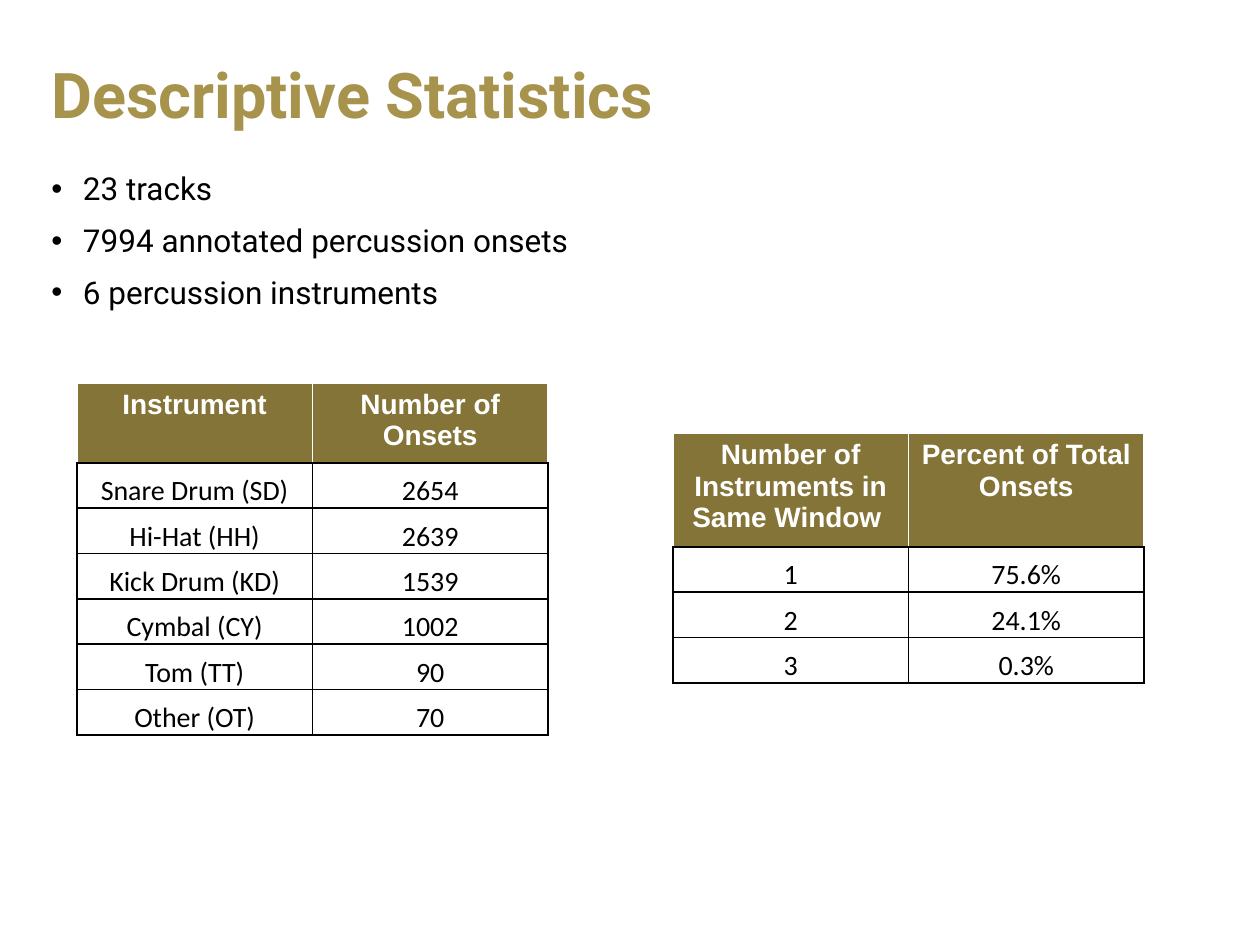
from dataclasses import dataclass

from lxml import etree
from pptx import Presentation
from pptx.dml.color import RGBColor
from pptx.enum.text import MSO_ANCHOR, PP_ALIGN
from pptx.oxml.ns import qn
from pptx.util import Inches, Pt

CENTER, LEFT = PP_ALIGN.CENTER, PP_ALIGN.LEFT
TOP, MIDDLE, BOTTOM = MSO_ANCHOR.TOP, MSO_ANCHOR.MIDDLE, MSO_ANCHOR.BOTTOM
BLANK_LAYOUT = 6


@dataclass(frozen=True)
class Theme:
    gold: str = "A7934B"
    dark_gold: str = "857437"
    black: str = "000000"
    white: str = "FFFFFF"
    text_font: str = "Roboto"
    header_font: str = "Arial"
    cell_font: str = "Calibri"
    title_size: int = 36
    bullet_size: int = 18
    table_size: int = 16
    border_width: int = 1


def write_text(paragraph, text, *, font, size, color, bold=False, align=LEFT, line_spacing=None):
    paragraph.alignment = align
    if line_spacing:
        paragraph.line_spacing = line_spacing
    run = paragraph.add_run()
    run.text = text
    run.font.name = font
    run.font.size = Pt(size)
    run.font.bold = bold
    run.font.color.rgb = RGBColor.from_string(color)


class SlideBuilder:
    def __init__(self, slide, theme):
        self.slide = slide
        self.theme = theme

    def text_frame(self, left, top, width, height, anchor):
        box = self.slide.shapes.add_textbox(
            Inches(left), Inches(top), Inches(width), Inches(height))
        frame = box.text_frame
        frame.word_wrap = True
        frame.vertical_anchor = anchor
        return frame

    def title(self, text, left, top, width, height):
        frame = self.text_frame(left, top, width, height, MIDDLE)
        write_text(frame.paragraphs[0], text, font=self.theme.text_font,
                   size=self.theme.title_size, color=self.theme.gold,
                   bold=True, line_spacing=0.9)

    def bullets(self, items, left, top, width, height):
        frame = self.text_frame(left, top, width, height, TOP)
        for index, item in enumerate(items):
            paragraph = frame.add_paragraph() if index else frame.paragraphs[0]
            properties = paragraph._p.get_or_add_pPr()
            properties.set("marL", str(Inches(0.25)))
            properties.set("indent", str(-Inches(0.25)))
            etree.SubElement(properties, qn("a:buFont"), typeface="Arial")
            etree.SubElement(properties, qn("a:buChar"), char="•")
            if index:
                paragraph.space_before = Pt(10)
            write_text(paragraph, item, font=self.theme.text_font,
                       size=self.theme.bullet_size, color=self.theme.black,
                       line_spacing=0.9)

    def borders(self, cell, side_colors):
        properties = cell._tc.get_or_add_tcPr()
        for position, (side, color) in enumerate(side_colors.items()):
            line = etree.Element(qn(f"a:ln{side}"), w=str(Pt(self.theme.border_width)))
            fill = etree.SubElement(line, qn("a:solidFill"))
            etree.SubElement(fill, qn("a:srgbClr"), val=color)
            properties.insert(position, line)

    def header_cell(self, cell, text):
        theme = self.theme
        cell.fill.solid()
        cell.fill.fore_color.rgb = RGBColor.from_string(theme.dark_gold)
        write_text(cell.text_frame.paragraphs[0], text, font=theme.header_font,
                   size=theme.table_size, color=theme.white, bold=True, align=CENTER)
        self.borders(cell, {"L": theme.white, "R": theme.white,
                            "T": theme.white, "B": theme.black})

    def body_cell(self, cell, text):
        theme = self.theme
        cell.fill.background()
        cell.vertical_anchor = BOTTOM
        cell.margin_left = cell.margin_right = cell.margin_top = Inches(0.01)
        cell.margin_bottom = 0
        write_text(cell.text_frame.paragraphs[0], text, font=theme.cell_font,
                   size=theme.table_size, color=theme.black, align=CENTER)
        self.borders(cell, dict.fromkeys("LRTB", theme.black))

    def table(self, rows, left, top, column_width=1.87, header_height=0.56, row_height=0.36):
        column_count = len(rows[0])
        height = header_height + row_height * (len(rows) - 1)
        table = self.slide.shapes.add_table(
            len(rows), column_count, Inches(left), Inches(top),
            Inches(column_width * column_count), Inches(height)).table
        table.horz_banding = False
        for column in table.columns:
            column.width = Inches(column_width)
        for row_index, values in enumerate(rows):
            table.rows[row_index].height = Inches(row_height if row_index else header_height)
            fill_cell = self.body_cell if row_index else self.header_cell
            for column_index, value in enumerate(values):
                fill_cell(table.cell(row_index, column_index), value)


def main():
    presentation = Presentation()
    presentation.slide_width, presentation.slide_height = Inches(10), Inches(7.5)
    slide = presentation.slides.add_slide(presentation.slide_layouts[BLANK_LAYOUT])
    builder = SlideBuilder(slide, Theme())

    # Title and key figures
    builder.title("Descriptive Statistics", 0.31, 0.22, 9.38, 1.11)
    builder.bullets(
        ["23 tracks", "7994 annotated percussion onsets", "6 percussion instruments"],
        0.31, 1.33, 7.85, 5.43)

    # Share of onsets by simultaneous instruments
    builder.table([
        ("Number of Instruments in Same Window ", "Percent of Total Onsets"),
        ("1", "75.6%"),
        ("2", "24.1%"),
        ("3", "0.3%"),
    ], 5.34, 3.44)

    # Onsets by instrument
    builder.table([
        ("Instrument", "Number of Onsets"),
        ("Snare Drum (SD)", "2654"),
        ("Hi-Hat (HH)", "2639"),
        ("Kick Drum (KD)", "1539"),
        ("Cymbal (CY)", "1002"),
        ("Tom (TT)", "90"),
        ("Other (OT)", "70"),
    ], 0.61, 3.04)

    presentation.save("out.pptx")


if __name__ == "__main__":
    main()
